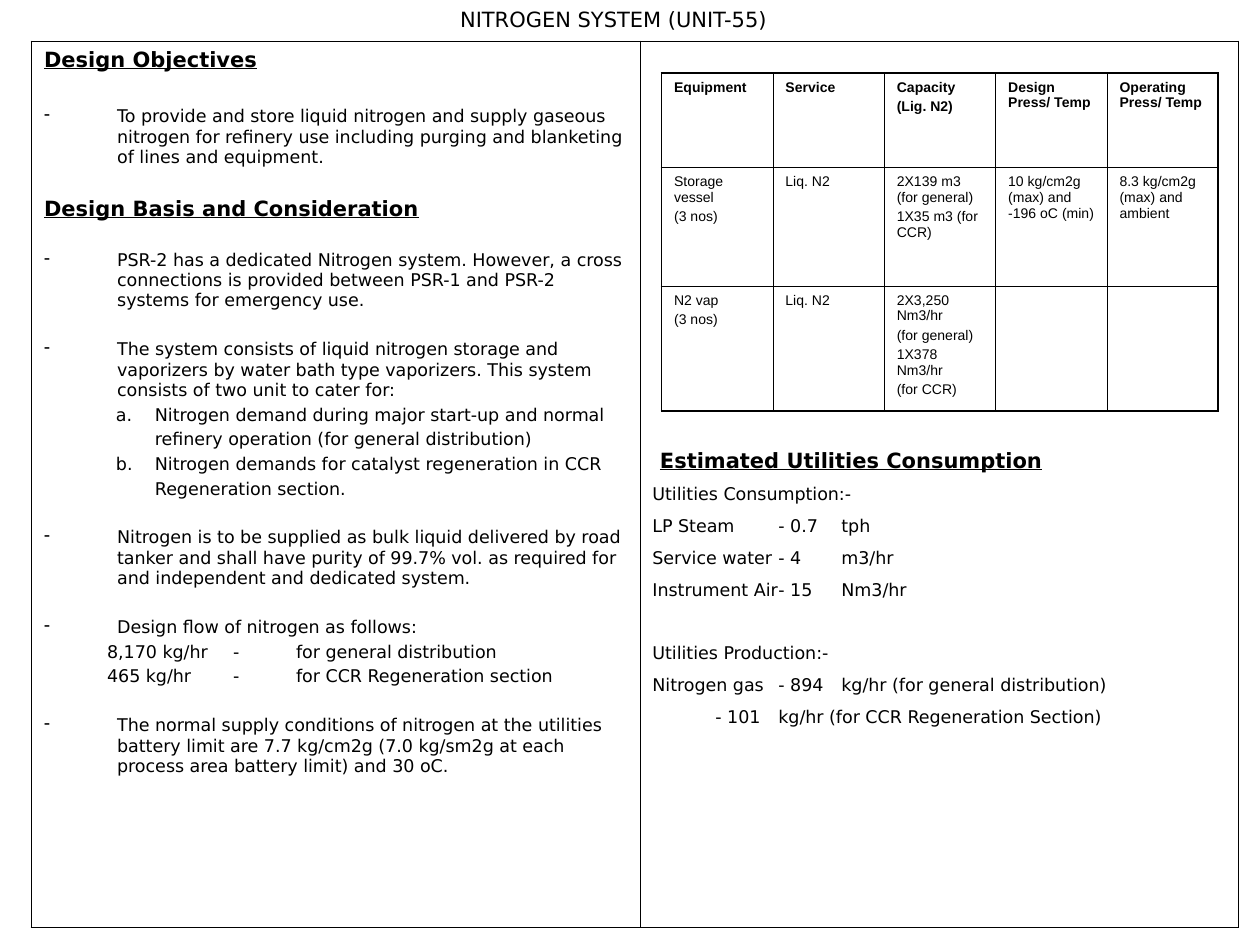
from dataclasses import dataclass
from typing import Optional, Sequence

from lxml.etree import SubElement
from pptx import Presentation
from pptx.dml.color import RGBColor
from pptx.enum.text import PP_ALIGN as Align
from pptx.oxml.ns import qn
from pptx.util import Inches, Pt


@dataclass(frozen=True)
class Theme:
    ink: str = "000000"
    body_font: str = "DejaVu Sans"
    table_font: str = "Arial"
    heading_size: float = 12
    body_size: float = 10
    table_size: float = 8
    outer_border: float = 1.08
    inner_border: float = 0.45


THEME = Theme()


@dataclass(frozen=True)
class Line:
    """One paragraph; lengths in inches, spacing in points."""
    text: str
    before: float = 2.5
    size: float = THEME.body_size
    font: str = THEME.body_font
    bold: bool = False
    underline: bool = False
    align: Align = Align.LEFT
    margin: float = 0
    indent: float = 0
    bullet: str = ""
    numbering: str = ""
    line_height: Optional[float] = None
    tabs: Sequence[tuple[float, str]] = ()


def heading(text: str, before: float = 0, margin: float = 0) -> Line:
    return Line(text, before, THEME.heading_size, bold=True, underline=True, margin=margin)


def dash_item(text: str, before: float = 16.2) -> Line:
    return Line(text, before, margin=0.58, indent=-0.58, bullet="-")


def lettered_item(text: str) -> Line:
    return Line(text, 0, margin=0.88, indent=-0.31, numbering="alphaLcPeriod", line_height=14.1)


def flow(text: str) -> Line:
    return Line(text, tabs=((1.33, "r"), (1.55, "l"), (1.68, "l")))


def consumption(text: str) -> Line:
    return Line(text, 6.2, tabs=((1.38, "l"), (1.79, "l")))


def production(text: str) -> Line:
    return Line(text, 6.2, tabs=((1.17, "l"), (1.64, "l")))


TITLE = [Line("NITROGEN SYSTEM (UNIT-55)", 0, THEME.heading_size, align=Align.CENTER)]

DESIGN = [
    heading("Design Objectives"),
    dash_item("To provide and store liquid nitrogen and supply gaseous nitrogen for refinery "
              "use including purging and blanketing of lines and equipment.", 19.5),
    heading("Design Basis and Consideration", 16.7),
    dash_item("PSR-2 has a dedicated Nitrogen system. However, a cross connections is provided "
              "between PSR-1 and PSR-2 systems for emergency use."),
    dash_item("The system consists of liquid nitrogen storage and vaporizers by water bath type "
              "vaporizers. This system consists of two unit to cater for:"),
    lettered_item("Nitrogen demand during major start-up and normal refinery operation "
                  "(for general distribution)"),
    lettered_item("Nitrogen demands for catalyst regeneration in CCR Regeneration section."),
    dash_item("Nitrogen is to be supplied as bulk liquid delivered by road tanker and shall have "
              "purity of 99.7% vol. as required for and independent and dedicated system."),
    dash_item("Design flow of nitrogen as follows:"),
    flow("\t8,170 kg/hr\t-\tfor general distribution"),
    flow("\t465 kg/hr\t-\tfor CCR Regeneration section"),
    dash_item("The normal supply conditions of nitrogen at the utilities battery limit are "
              "7.7 kg/cm2g (7.0 kg/sm2g at each process area battery limit) and 30 oC."),
]

UTILITIES = [
    heading("Estimated Utilities Consumption", margin=0.06),
    Line("Utilities Consumption:-", 6.2),
    consumption("LP Steam\t- 0.7\ttph"),
    consumption("Service water\t- 4\tm3/hr"),
    consumption("Instrument Air\t- 15\tNm3/hr"),
    Line("Utilities Production:-", 24.2),
    production("Nitrogen gas\t- 894\tkg/hr (for general distribution)"),
    production("\t- 101\tkg/hr (for CCR Regeneration Section)"),
]

EQUIPMENT = [
    [["Equipment"], ["Service"], ["Capacity", "(Lig. N2)"],
     ["Design Press/ Temp"], ["Operating Press/ Temp"]],
    [["Storage vessel", "(3 nos)"], ["Liq. N2"],
     ["2X139 m3 (for general)", "1X35 m3 (for CCR)"],
     ["10 kg/cm2g (max) and -196 oC (min)"], ["8.3 kg/cm2g (max) and ambient"]],
    [["N2 vap", "(3 nos)"], ["Liq. N2"],
     ["2X3,250 Nm3/hr", "(for general)", "1X378 Nm3/hr", "(for CCR)"], [], []],
]


def equipment_lines(texts: Sequence[str], bold: bool) -> list[Line]:
    return [Line(text, 2 if index else 0, THEME.table_size, THEME.table_font, bold)
            for index, text in enumerate(texts)]


def write_lines(text_frame, lines: Sequence[Line]) -> None:
    for index, line in enumerate(lines):
        paragraph = text_frame.add_paragraph() if index else text_frame.paragraphs[0]
        paragraph.text = line.text
        paragraph.alignment = line.align
        paragraph.space_before = Pt(line.before)
        if line.line_height:
            paragraph.line_spacing = Pt(line.line_height)
        properties = paragraph._p.get_or_add_pPr()
        properties.set("marL", str(Inches(line.margin)))
        properties.set("indent", str(Inches(line.indent)))
        if line.bullet:
            SubElement(properties, qn("a:buChar"), char=line.bullet)
        elif line.numbering:
            SubElement(properties, qn("a:buAutoNum"), type=line.numbering)
        else:
            SubElement(properties, qn("a:buNone"))
        if line.tabs:
            tab_list = SubElement(properties, qn("a:tabLst"))
            for position, align in line.tabs:
                SubElement(tab_list, qn("a:tab"), pos=str(Inches(position)), algn=align)
        font = paragraph.font
        font.name, font.size = line.font, Pt(line.size)
        font.bold, font.underline = line.bold, line.underline
        font.color.rgb = RGBColor.from_string(THEME.ink)


def add_text(slide, left: float, top: float, width: float, height: float,
             lines: Sequence[Line]) -> None:
    text_frame = slide.shapes.add_textbox(
        Inches(left), Inches(top), Inches(width), Inches(height)).text_frame
    text_frame.word_wrap = True
    write_lines(text_frame, lines)


def set_borders(cell, outer_sides: dict[str, bool]) -> None:
    """Draw heavy lines on the table's outline and thin ones inside it."""
    properties = cell._tc.get_or_add_tcPr()
    for index, (side, is_outer) in enumerate(outer_sides.items()):
        width = THEME.outer_border if is_outer else THEME.inner_border
        border = SubElement(properties, qn(f"a:ln{side}"), w=str(Pt(width)))
        fill = SubElement(border, qn("a:solidFill"))
        SubElement(fill, qn("a:srgbClr"), val=THEME.ink)
        properties.insert(index, border)


def add_grid(slide, left: float, top: float, widths: Sequence[float], heights: Sequence[float],
             content: Sequence[Sequence[Sequence[Line]]]) -> None:
    table = slide.shapes.add_table(len(heights), len(widths), Inches(left), Inches(top),
                                   Inches(sum(widths)), Inches(sum(heights))).table
    table.first_row = table.horz_banding = False
    for column, width in zip(table.columns, widths):
        column.width = Inches(width)
    for row_index, (row, height) in enumerate(zip(table.rows, heights)):
        row.height = Inches(height)
        for column_index, cell in enumerate(row.cells):
            cell.fill.background()
            set_borders(cell, {"L": column_index == 0, "R": column_index == len(widths) - 1,
                               "T": row_index == 0, "B": row_index == len(heights) - 1})
            write_lines(cell.text_frame, content[row_index][column_index])


def main() -> None:
    presentation = Presentation()
    presentation.slide_width, presentation.slide_height = Inches(10), Inches(7.5)
    slide = presentation.slides.add_slide(presentation.slide_layouts[6])
    add_text(slide, 0.33, 0, 9.08, 0.3, TITLE)
    add_grid(slide, 0.25, 0.33, [4.83, 4.75], [7.03], [[DESIGN, []]])
    add_grid(slide, 5.25, 0.58, [4.42 / 5] * 5, [0.75, 0.94, 0.99],
             [[equipment_lines(texts, bold=index == 0) for texts in row]
              for index, row in enumerate(EQUIPMENT)])
    add_text(slide, 5.08, 3.5, 4.67, 2.58, UTILITIES)
    presentation.save("out.pptx")


if __name__ == "__main__":
    main()
